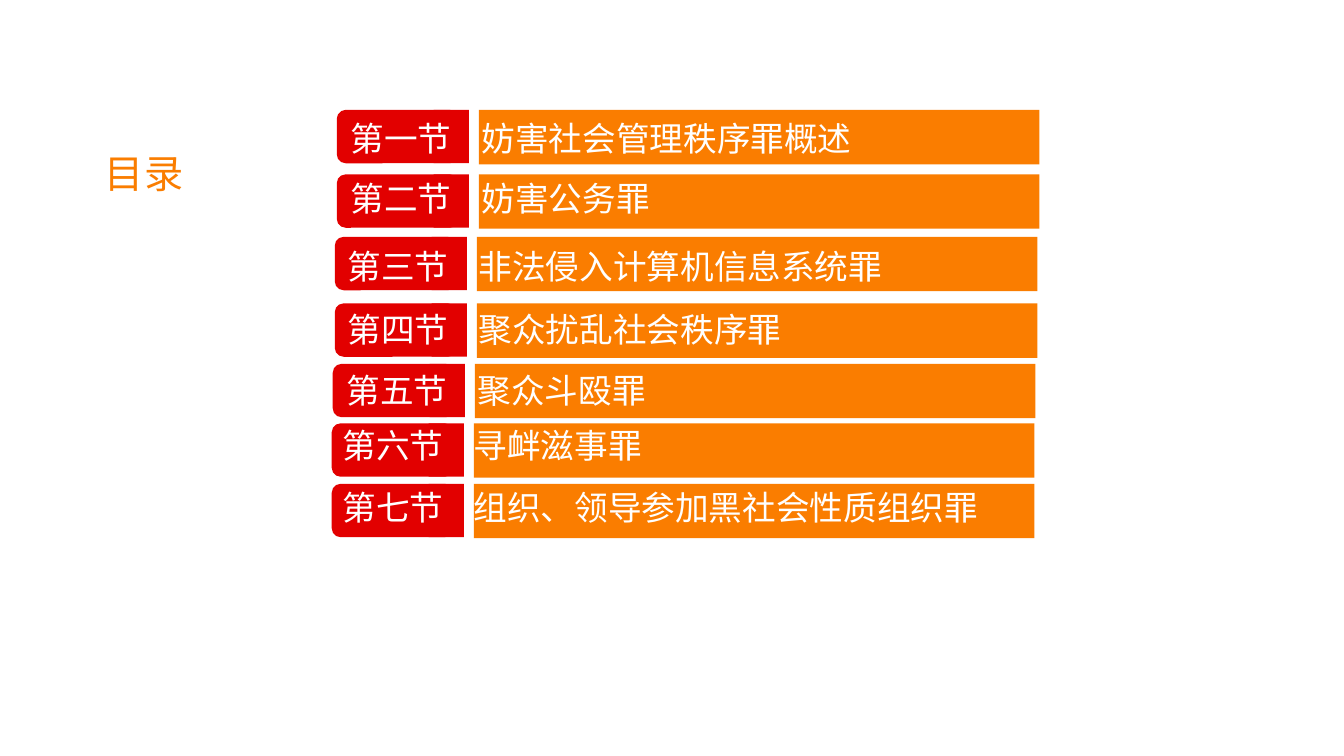
from dataclasses import dataclass

from lxml import etree
from pptx import Presentation
from pptx import util as u
from pptx.dml import color
from pptx.enum import shapes, text
from pptx.oxml import ns

COLORS = {"red": "E20000", "orange": "FA7D00", "white": "FFFFFF"}
FONT = "Noto Sans CJK SC"
TITLE_TAB = 1.3


@dataclass
class Section:
    """One row of the contents list, with places in inches."""
    number: str
    title: str
    left: float
    top: float
    text_left: float
    text_top: float


SECTIONS = [
    Section("第一节", "妨害社会管理秩序罪概述", 3.34, 1.09, 3.38, 1.12),
    Section("第二节", "妨害公务罪", 3.34, 1.73, 3.38, 1.72),
    Section("第三节", "非法侵入计算机信息系统罪", 3.32, 2.35, 3.35, 2.39),
    Section("第四节", "聚众扰乱社会秩序罪", 3.32, 3.01, 3.35, 3.02),
    Section("第五节", "聚众斗殴罪", 3.3, 3.61, 3.34, 3.62),
    Section("第六节", "寻衅滋事罪", 3.29, 4.2, 3.3, 4.17),
    Section("第七节", "组织、领导参加黑社会性质组织罪", 3.29, 4.8, 3.3, 4.78),
]


def place(shape, left: float, top: float, width: float, height: float) -> None:
    """Move and size a shape in inches."""
    shape.left, shape.top = u.Inches(left), u.Inches(top)
    shape.width, shape.height = u.Inches(width), u.Inches(height)


def write(shape, words: str, *, size: float, fill: str, tab: float = 0) -> None:
    """Write one left-aligned line, with an optional tab stop in inches."""
    frame = shape.text_frame
    frame.word_wrap = True
    frame.auto_size = text.MSO_AUTO_SIZE.NONE
    frame.vertical_anchor = text.MSO_ANCHOR.TOP
    paragraph = frame.paragraphs[0]
    paragraph.alignment = text.PP_ALIGN.LEFT
    if tab:
        properties = paragraph._p.get_or_add_pPr()
        tabs = etree.SubElement(properties, ns.qn("a:tabLst"))
        etree.SubElement(tabs, ns.qn("a:tab"), pos=str(u.Inches(tab)), algn="l")
    run = paragraph.add_run()
    run.text = words
    run.font.size = u.Pt(size)
    run.font.color.rgb = color.RGBColor.from_string(COLORS[fill])
    run.font.name = FONT
    etree.SubElement(run._r.get_or_add_rPr(), ns.qn("a:ea"), typeface=FONT)


def add_block(group, kind: shapes.MSO_SHAPE, left: float, top: float,
              width: float, height: float, fill: str) -> None:
    """Add a plain filled shape to a group."""
    shape = group.shapes.add_shape(kind, *map(u.Inches, (left, top, width, height)))
    shape.shadow.inherit = False
    shape.fill.solid()
    shape.fill.fore_color.rgb = color.RGBColor.from_string(COLORS[fill])
    shape.line.fill.background()


def add_section(slide, section: Section) -> None:
    """Draw the bars of a section and its line of text."""
    group = slide.shapes.add_group_shape()
    left, top = section.left, section.top
    add_block(group, shapes.MSO_SHAPE.ROUNDED_RECTANGLE, left, top, 1.21, 0.53, "red")
    add_block(group, shapes.MSO_SHAPE.RECTANGLE, left + 0.96, top, 0.35, 0.53, "red")
    add_block(group, shapes.MSO_SHAPE.RECTANGLE, left + 1.41, top, 5.56, 0.54, "orange")
    box = slide.shapes.add_textbox(0, 0, 0, 0)
    place(box, section.text_left, section.text_top, 6.81, 0.5)
    write(box, f"{section.number}\t{section.title}", size=24, fill="white", tab=TITLE_TAB)


def main() -> None:
    """Build and save the contents slide."""
    presentation = Presentation()
    presentation.slide_width = u.Inches(13.33)
    presentation.slide_height = u.Inches(7.5)
    slide = presentation.slides.add_slide(presentation.slide_layouts[5])
    title = slide.shapes.title
    place(title, 0.94, 1.43, 0.99, 0.57)
    write(title, "目录", size=28, fill="orange")
    for section in SECTIONS:
        add_section(slide, section)
    presentation.save("out.pptx")


if __name__ == "__main__":
    main()
